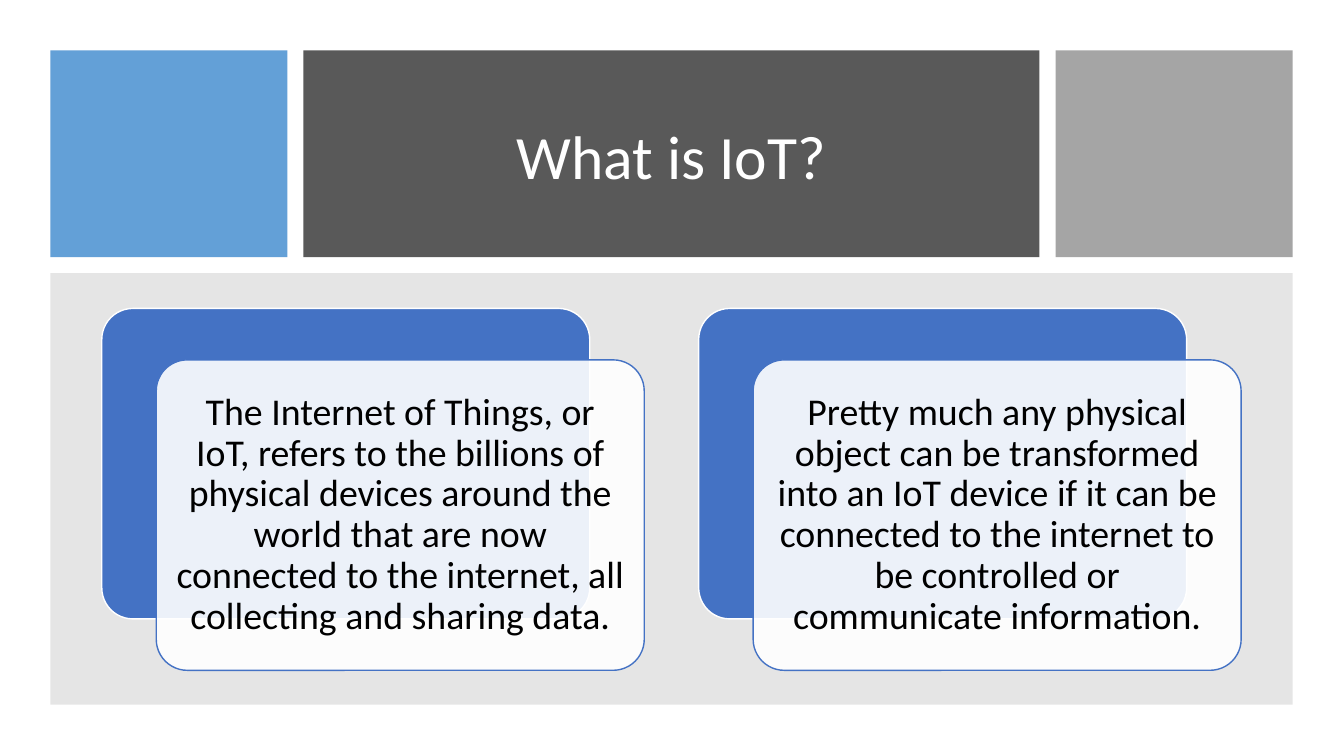
from lxml import etree
from pptx import Presentation
from pptx.dml.color import RGBColor
from pptx.enum.shapes import MSO_SHAPE
from pptx.enum.text import MSO_ANCHOR, PP_ALIGN
from pptx.oxml.ns import qn
from pptx.util import Inches, Pt

RECT = MSO_SHAPE.RECTANGLE
ROUND = MSO_SHAPE.ROUNDED_RECTANGLE
MIDDLE = MSO_ANCHOR.MIDDLE
CENTER = PP_ALIGN.CENTER

WHITE = RGBColor(0xFF, 0xFF, 0xFF)
BLACK = RGBColor(0x00, 0x00, 0x00)
SKY = RGBColor(0x5B, 0x9B, 0xD5)
BLUE = RGBColor(0x44, 0x72, 0xC4)
DARK = RGBColor(0x59, 0x59, 0x59)
SILVER = RGBColor(0xA5, 0xA5, 0xA5)
GRAY = RGBColor(0x80, 0x80, 0x80)

CARDS = [
    "The Internet of Things, or IoT, refers to the billions of physical devices "
    "around the world that are now connected to the internet, all collecting "
    "and sharing data.",
    "Pretty much any physical object can be transformed into an IoT device if it "
    "can be connected to the internet to be controlled or communicate information.",
]


class Painter:
    font = "Calibri"

    def __init__(self, slide):
        self.slide = slide

    def block(self, x, y, w, h, color, alpha=100, kind=RECT, line=None):
        shape = self.slide.shapes.add_shape(
            kind, Inches(x), Inches(y), Inches(w), Inches(h))
        shape.shadow.inherit = False
        shape.fill.solid()
        shape.fill.fore_color.rgb = color
        if alpha < 100:
            tint = shape.element.spPr.find(qn("a:solidFill"))[0]
            etree.SubElement(tint, qn("a:alpha")).set("val", str(alpha * 1000))
        if line is None:
            shape.line.fill.background()
        else:
            shape.line.color.rgb = line
            shape.line.width = Pt(1)
        if kind == ROUND:
            shape.adjustments[0] = 0.1
        return shape

    def label(self, shape, text, size, color, inset):
        frame = shape.text_frame
        frame.word_wrap = True
        frame.vertical_anchor = MIDDLE
        frame.margin_left = frame.margin_right = Inches(inset)
        frame.margin_top = frame.margin_bottom = Inches(inset)
        para = frame.paragraphs[0]
        para.text = text
        para.alignment = CENTER
        para.line_spacing = 0.9
        para.font.name = self.font
        para.font.size = Pt(size)
        para.font.color.rgb = color

    def title(self, x, y, w, h, text):
        box = self.slide.shapes.add_textbox(
            Inches(x), Inches(y), Inches(w), Inches(h))
        self.label(box, text, 44, WHITE, 0.1)

    def card(self, x, y, text):
        w, h = 4.84, 3.08
        self.block(x, y, w, h, BLUE, kind=ROUND, line=WHITE)
        front = self.block(x + 0.54, y + 0.51, w, h, WHITE, 90, ROUND, BLUE)
        self.label(front, text, 27, BLACK, 0.11)


def main():
    deck = Presentation()
    deck.slide_width = Inches(13.33)
    deck.slide_height = Inches(7.5)
    paint = Painter(deck.slides.add_slide(deck.slide_layouts[6]))

    paint.block(0.5, 0.5, 2.35, 2.05, SKY, 95)
    paint.block(3.01, 0.5, 7.3, 2.05, DARK)
    paint.title(3.33, 0.8, 6.66, 1.56, "What is IoT?")
    paint.block(10.47, 0.5, 2.35, 2.05, SILVER)
    paint.block(0.5, 2.71, 12.32, 4.28, GRAY, 20)
    for i, text in enumerate(CARDS):
        paint.card(1.01 + 5.92 * i, 3.06, text)

    deck.save("out.pptx")


if __name__ == "__main__":
    main()
